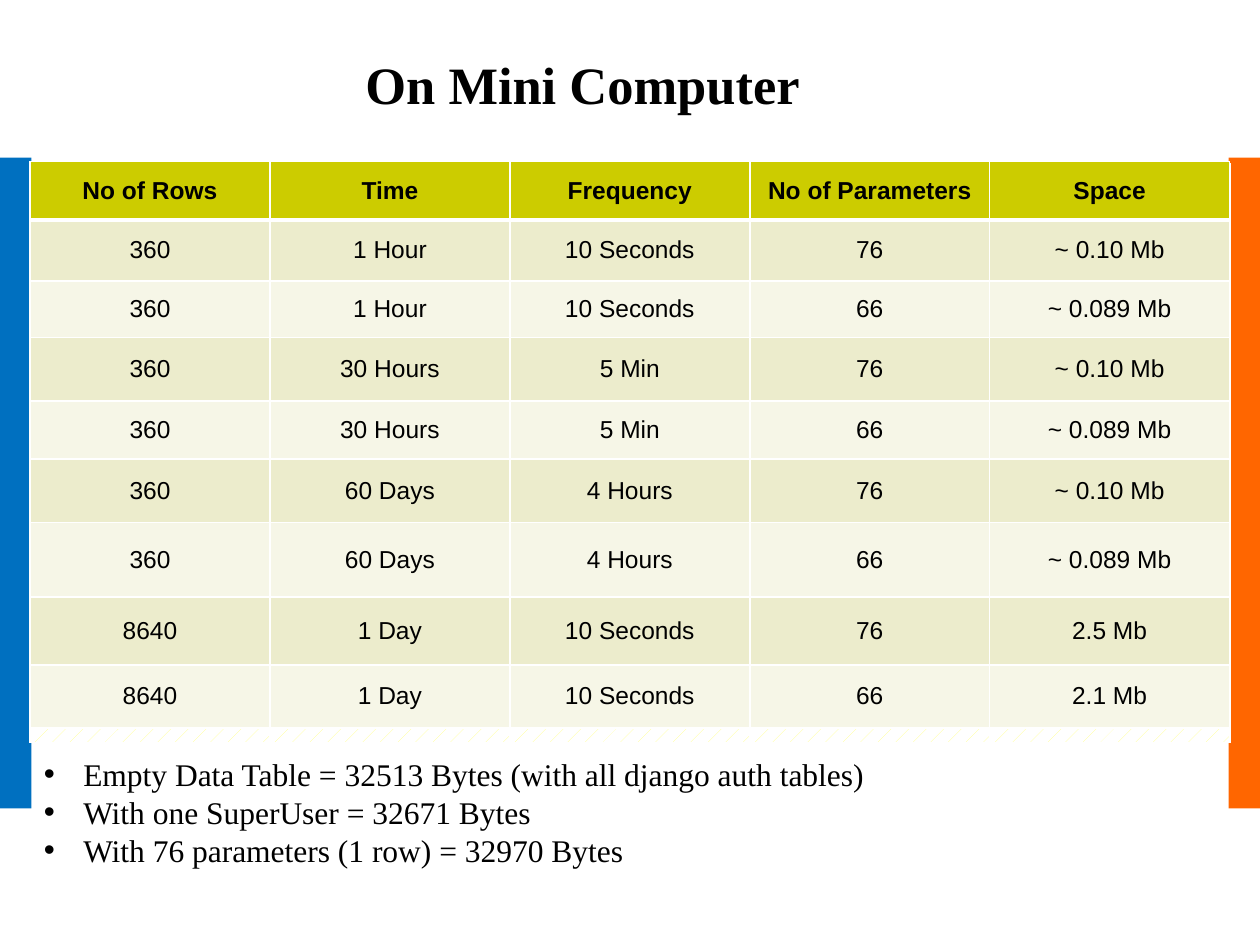
from lxml import etree
from pptx import Presentation
from pptx import util as u
from pptx.dml.color import RGBColor
from pptx.enum import dml, shapes, text
from pptx.oxml import ns

Pt = u.Pt
BLACK = RGBColor(0x00, 0x00, 0x00)
WHITE = RGBColor(0xFF, 0xFF, 0xFF)
BLUE = RGBColor(0x00, 0x70, 0xC0)
ORANGE = RGBColor(0xFF, 0x66, 0x00)
OLIVE = RGBColor(0xCC, 0xCC, 0x00)
BAND_DARK = RGBColor(0xEC, 0xEC, 0xCC)
BAND_LIGHT = RGBColor(0xF6, 0xF6, 0xE7)
PALE_YELLOW = RGBColor(0xFF, 0xFF, 0x85)
SERIF, SANS = "Times New Roman", "Arial"

HEADER = ["No of Rows", "Time", "Frequency", "No of Parameters", "Space"]
# rows, time, frequency, then the space taken by 76 and by 66 parameters
RUNS = [
    ("360", "1 Hour", "10 Seconds", "~ 0.10 Mb", "~ 0.089 Mb"),
    ("360", "30 Hours", "5 Min", "~ 0.10 Mb", "~ 0.089 Mb"),
    ("360", "60 Days", "4 Hours", "~ 0.10 Mb", "~ 0.089 Mb"),
    ("8640", "1 Day", "10 Seconds", "2.5 Mb", "2.1 Mb"),
]
ROW_HEIGHTS = [33.5, 34.9, 32.3, 36.2, 33.1, 36.4, 42.7, 38.7, 36]
NOTES = [
    "Empty Data Table = 32513 Bytes (with all django auth tables)",
    "With one SuperUser = 32671 Bytes",
    "With 76 parameters (1 row) = 32970 Bytes",
]


def write(p, words, font=SANS, size=14, bold=False, color=BLACK, align=None):
    p.alignment = align
    r = p.add_run()
    r.text = words
    r.font.name, r.font.size, r.font.bold = font, Pt(size), bold
    r.font.color.rgb = color


def add_bullet(p, indent):
    pPr = p._p.get_or_add_pPr()
    pPr.set("marL", str(Pt(indent)))
    pPr.set("indent", str(-Pt(indent)))
    etree.SubElement(pPr, ns.qn("a:buFont"), typeface=SANS)
    etree.SubElement(pPr, ns.qn("a:buChar"), char="•")


def set_borders(cell, top=1, bottom=1):
    tcPr = cell._tc.get_or_add_tcPr()
    for i, (side, width) in enumerate(zip("LRTB", (1, 1, top, bottom))):
        ln = etree.Element(ns.qn(f"a:ln{side}"), w=str(Pt(width)))
        fill = etree.SubElement(ln, ns.qn("a:solidFill"))
        etree.SubElement(fill, ns.qn("a:srgbClr"), val=str(WHITE))
        tcPr.insert(i, ln)


def add_grid(s, x, y, w, heights, cols):
    frame = s.shapes.add_table(len(heights), cols, Pt(x), Pt(y), Pt(w), Pt(sum(heights)))
    table = frame.table
    table.first_row = table.horz_banding = False
    for col in table.columns:
        col.width = Pt(w / cols)
    for row, h in zip(table.rows, heights):
        row.height = Pt(h)
    return table


def side_bar(s, x, y, w, h, color):
    sp = s.shapes.add_shape(shapes.MSO_SHAPE.RECTANGLE, Pt(x), Pt(y), Pt(w), Pt(h))
    sp.shadow.inherit = False
    sp.fill.solid()
    sp.fill.fore_color.rgb = color
    sp.line.fill.background()


def title(s, x, y, w, h, words):
    tf = s.shapes.add_textbox(Pt(x), Pt(y), Pt(w), Pt(h)).text_frame
    tf.word_wrap = True
    tf.vertical_anchor = text.MSO_ANCHOR.MIDDLE
    tf.margin_left = tf.margin_top = tf.margin_right = tf.margin_bottom = 0
    write(tf.paragraphs[0], words, font=SERIF, size=30, bold=True,
          align=text.PP_ALIGN.CENTER)


def backing_table(s, x, y, w, h, rows=7, cols=5):
    table = add_grid(s, x, y, w, [h / rows] * rows, cols)
    for i, row in enumerate(table.rows):
        for cell in row.cells:
            cell.fill.patterned()
            cell.fill.pattern = dml.MSO_PATTERN.PERCENT_5
            cell.fill.fore_color.rgb = PALE_YELLOW
            cell.fill.back_color.rgb = WHITE
            set_borders(cell, top=3 if i == 1 else 1, bottom=3 if i == 0 else 1)


def space_table(s, x, y, w):
    data = [HEADER]
    for rows, time, frequency, *spaces in RUNS:
        data += [[rows, time, frequency, params, space]
                 for params, space in zip(("76", "66"), spaces)]
    table = add_grid(s, x, y, w, ROW_HEIGHTS, len(HEADER))
    for i, values in enumerate(data):
        color = OLIVE if i == 0 else BAND_DARK if i % 2 else BAND_LIGHT
        for cell, value in zip(table.rows[i].cells, values):
            cell.fill.solid()
            cell.fill.fore_color.rgb = color
            cell.vertical_anchor = text.MSO_ANCHOR.MIDDLE
            set_borders(cell, top=3 if i == 1 else 1, bottom=3 if i == 0 else 1)
            write(cell.text_frame.paragraphs[0], value, bold=i == 0,
                  align=text.PP_ALIGN.CENTER)


def notes_list(s, x, y, w, h):
    tf = s.shapes.add_textbox(Pt(x), Pt(y), Pt(w), Pt(h)).text_frame
    tf.word_wrap = True
    for i, note in enumerate(NOTES):
        p = tf.add_paragraph() if i else tf.paragraphs[0]
        add_bullet(p, 22.5)
        write(p, note, font=SERIF, size=18)


def main():
    prs = Presentation()
    prs.slide_width, prs.slide_height = Pt(720), Pt(540)
    s = prs.slides.add_slide(prs.slide_layouts[6])
    # Coloured bars at the slide edges
    side_bar(s, 702, 90, 18, 372, ORANGE)
    side_bar(s, 0, 90, 18, 372, BLUE)
    # Heading
    title(s, 36, 15, 594, 65, "On Mini Computer")
    # Patterned table behind the results
    backing_table(s, 17, 93.8, 686, 330.4)
    # Results and notes below
    space_table(s, 17.2, 92.2, 685.5)
    notes_list(s, 18, 428, 686, 89)
    prs.save("out.pptx")


if __name__ == "__main__":
    main()
